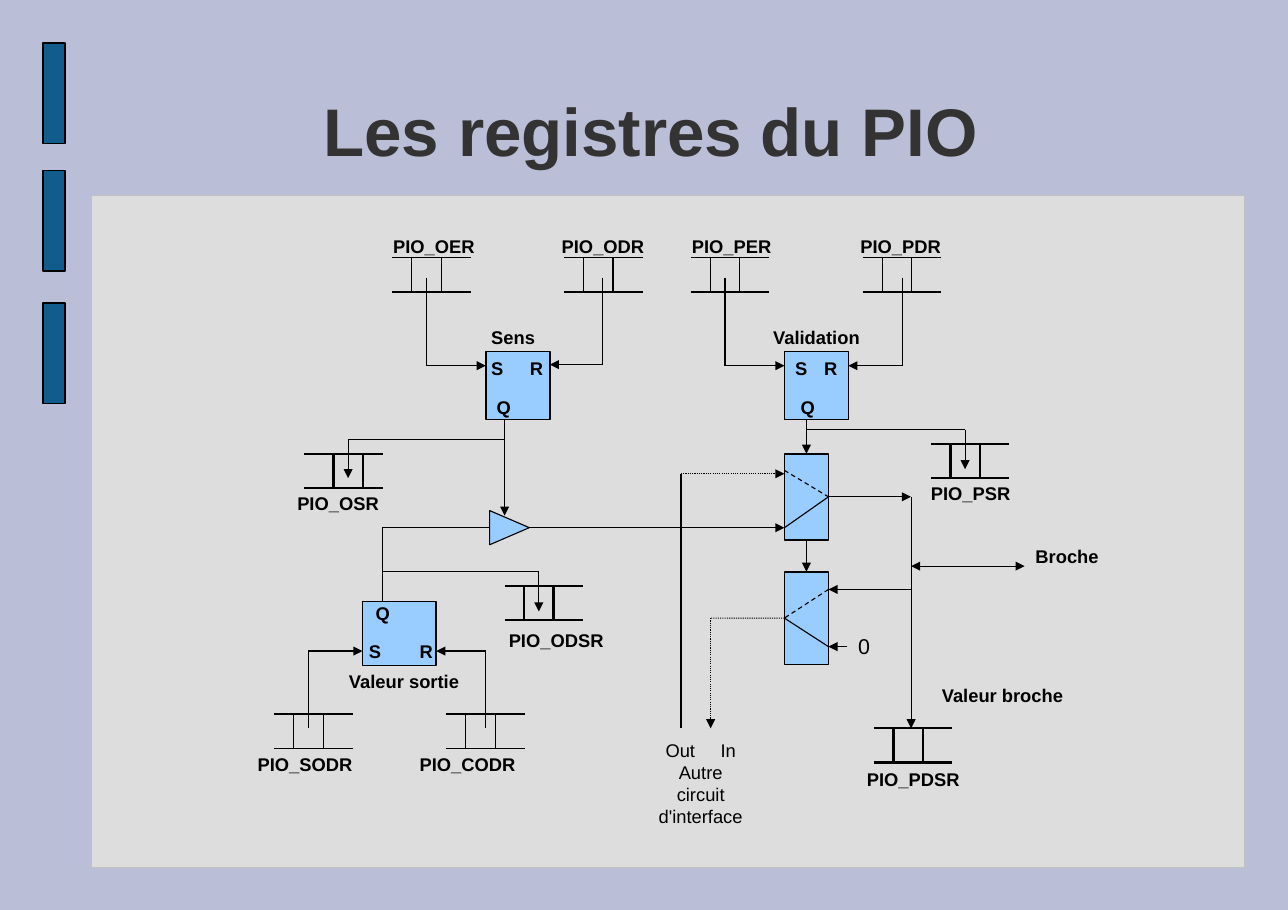
from lxml import etree
from pptx import Presentation
from pptx.dml.color import RGBColor
from pptx.enum.dml import MSO_LINE
from pptx.enum.shapes import MSO_CONNECTOR, MSO_SHAPE
from pptx.enum.text import MSO_ANCHOR, PP_ALIGN
from pptx.oxml.ns import qn
from pptx.util import Pt

RECT = MSO_SHAPE.RECTANGLE
EXTRACT = MSO_SHAPE.FLOWCHART_EXTRACT
STRAIGHT = MSO_CONNECTOR.STRAIGHT
DASH = MSO_LINE.DASH
DOT = MSO_LINE.ROUND_DOT
LEFT = PP_ALIGN.LEFT
CENTER = PP_ALIGN.CENTER

FONT = "Arial"
BLACK = "000000"
BLUE = "99CCFF"
TITLE = "Les registres du PIO"
INTERFACE = ["Out\tIn", "Autre", "circuit", "d'interface"]

BAR_TOPS = [28.1, 111.6, 198]
BOXES = [
    (317.5, 229.7, 41.8, 44.6),
    (512.6, 229.7, 41.8, 44.6),
    (236.9, 393.1, 48.2, 41.8),
    (512.6, 296.6, 28.8, 56.2),
    (512.6, 373.7, 28.8, 60.5),
]

THIN, THICK = 0.75, 1.5
REG_W, REG_H = 51.3, 22.3
BARS = (12.8, 32)
BARS_MIRROR = (19.3, 38.5)
REGISTERS = [
    ("PIO_OER", 256.3, 168.5, THIN, BARS, (249.8, 149.8, 70.6, 22.3)),
    ("PIO_ODR", 368.6, 168.5, THIN, BARS, (360, 149.8, 80, 26)),
    ("PIO_PER", 451.5, 168.5, THIN, BARS, (445, 149.8, 68.4, 22.3)),
    ("PIO_PDR", 563.8, 168.5, THIN, BARS, (555.1, 149.8, 70.6, 22.3)),
    ("PIO_OSR", 198.7, 296.6, THICK, BARS_MIRROR, (187.2, 318.2, 77, 22.3)),
    ("PIO_PSR", 608.4, 290.2, THICK, BARS, (601.2, 311.8, 81.4, 26)),
    ("PIO_ODSR", 329.8, 383, THICK, BARS, (325.4, 407.5, 87.8, 26)),
    ("PIO_SODR", 179.3, 466.6, THIN, BARS, (161.3, 488.9, 88.6, 22.3)),
    ("PIO_CODR", 291.6, 466.6, THIN, BARS, (267.1, 488.9, 88.6, 19.4)),
    ("PIO_PDSR", 571, 476, THICK, BARS, (559.4, 498.2, 81.4, 22.3)),
]

LABELS = [
    ("Sens", 313.9, 209.5, 54.7, 28.8),
    ("Validation", 498.2, 209.5, 81.4, 28.8),
    ("Valeur sortie", 221, 434.2, 95.8, 32.4),
    ("Valeur broche", 608.4, 443.5, 108, 23),
    ("Broche", 669.6, 352.8, 57.6, 31.7),
]
PINS = [
    ("S", 313.9, 229.7), ("R", 339.1, 229.7), ("Q", 317.5, 255.6),
    ("S", 512.6, 229.7), ("R", 531.4, 229.7), ("Q", 516.2, 255.6),
    ("Q", 238.3, 390.2), ("S", 234, 414.7), ("R", 267.1, 414.7),
]

ARROWS = [
    [(278.6, 181.4), (278.6, 239), (317.5, 239)],
    [(393.8, 181.4), (393.8, 238.3), (359.3, 238.3)],
    [(473.8, 181.4), (473.8, 239), (512.6, 239)],
    [(589.7, 181.4), (589.7, 239), (554.4, 239)],
    [(201.6, 476), (201.6, 425.5), (236.9, 425.5)],
    [(317.5, 476), (317.5, 425.5), (285.1, 425.5)],
    [(329.8, 287.3), (227.5, 287.3), (227.5, 312.5)],
    [(329.8, 274.3), (329.8, 337)],
    [(527, 280.8), (630.7, 280.8), (630.7, 306.7)],
    [(249.8, 373.7), (352.1, 373.7), (352.1, 399.6)],
    [(346, 344.9), (512.6, 344.9)],
    [(541.4, 324.7), (595.4, 324.7)],
    [(595.4, 324.7), (595.4, 476)],
    [(595.4, 385.2), (541.4, 385.2)],
    [(553.7, 422.6), (541.4, 422.6)],
    [(527, 274.3), (527, 296.6)],
    [(527, 352.8), (527, 373.7)],
]
DOTTED_ARROWS = [
    [(445, 309.6), (512.6, 309.6)],
    [(512.6, 404), (464.4, 404), (464.4, 476)],
]
PLAIN_WIRES = [
    [(249.8, 393.1), (249.8, 344.9), (320.4, 344.9)],
    [(445, 476), (445, 309.6)],
    [(512.6, 344.9), (541.4, 324.7)],
    [(541.4, 422.6), (512.6, 404)],
]
DASHED_WIRES = [
    [(512.6, 307.4), (541.4, 324.7)],
    [(541.4, 385.2), (512.6, 404)],
]
BROCHE_LINK = [(595.4, 370), (669.6, 370)]

prs = Presentation()
prs.slide_width, prs.slide_height = Pt(841.7), Pt(594.7)
slide = prs.slides.add_slide(prs.slide_layouts[5])
shapes = slide.shapes
blocks = []


def rgb(value):
    return RGBColor.from_string(value)


def add_box(kind, x, y, w, h, fill, line=BLACK, width=1):
    sp = shapes.add_shape(kind, Pt(x), Pt(y), Pt(w), Pt(h))
    sp.shadow.inherit = False
    sp.fill.solid()
    sp.fill.fore_color.rgb = rgb(fill)
    sp.line.color.rgb = rgb(line)
    sp.line.width = Pt(width)
    return sp


def format_text(tf, size, bold, align, color=BLACK):
    for p in tf.paragraphs:
        p.alignment = align
        for r in p.runs:
            r.font.name = FONT
            r.font.size = Pt(size)
            r.font.bold = bold
            r.font.color.rgb = rgb(color)


def add_text(text, x, y, w, h, size=12, bold=True, align=LEFT, wrap=True):
    tf = shapes.add_textbox(Pt(x), Pt(y), Pt(w), Pt(h)).text_frame
    tf.word_wrap = wrap
    tf.text = text
    format_text(tf, size, bold, align)


def find_site(point):
    for sp, (x, y, w, h) in blocks:
        sites = [(x + w / 2, y), (x, y + h / 2), (x + w / 2, y + h), (x + w, y + h / 2)]
        for i, (sx, sy) in enumerate(sites):
            if abs(sx - point[0]) < 1 and abs(sy - point[1]) < 1:
                return sp, i
    return None


def add_line(start, end, width=THIN, dash=None, ends=()):
    line = shapes.add_connector(STRAIGHT, *(Pt(v) for v in start + end))
    for point, connect in ((start, line.begin_connect), (end, line.end_connect)):
        site = find_site(point)
        if site:
            connect(*site)
    line.line.color.rgb = rgb(BLACK)
    line.line.width = Pt(width)
    if dash:
        line.line.dash_style = dash
    sp_pr = line._element.spPr
    for tag in ends:
        etree.SubElement(sp_pr.find(qn("a:ln")), qn(tag), type="triangle")
    etree.SubElement(sp_pr, qn("a:effectLst"))


def add_wire(points, dash=None, ends=()):
    last = len(points) - 2
    for i, (start, end) in enumerate(zip(points, points[1:])):
        add_line(start, end, dash=dash, ends=ends if i == last else ())


def add_register(x, y, width, bars):
    for dy in (0, REG_H):
        add_line((x, y + dy), (x + REG_W, y + dy), width)
    for dx in bars:
        add_line((x + dx, y), (x + dx, y + REG_H), width)


slide.background.fill.solid()
slide.background.fill.fore_color.rgb = rgb("BABED6")

title = shapes.title
title.left, title.top, title.width, title.height = Pt(56.9), Pt(42.5), Pt(737.3), Pt(85)
tf = title.text_frame
tf.margin_left = tf.margin_right = tf.margin_top = tf.margin_bottom = 0
tf.vertical_anchor = MSO_ANCHOR.MIDDLE
tf.text = TITLE
format_text(tf, 44, True, CENTER, "333333")

add_box(RECT, 59.8, 127.6, 753.8, 439.2, "DDDDDD", "C0C0C0", 0)
for top in BAR_TOPS:
    add_box(RECT, 28.1, top, 14.4, 65.5, "125C8D", width=0)
for box in BOXES:
    blocks.append((add_box(RECT, *box, BLUE), box))

for name, x, y, width, bars, label in REGISTERS:
    add_register(x, y, width, bars)
    add_text(name, *label)

for wires, dash, ends in (
    (ARROWS, None, ["a:tailEnd"]),
    (DOTTED_ARROWS, DOT, ["a:tailEnd"]),
    (PLAIN_WIRES, None, []),
    (DASHED_WIRES, DASH, []),
    ([BROCHE_LINK], None, ["a:headEnd", "a:tailEnd"]),
):
    for points in wires:
        add_wire(points, dash, ends)

add_box(EXTRACT, 321.8, 331.9, 22.3, 25.9, BLUE, width=THIN).rotation = 90

for label in LABELS:
    add_text(*label)
for letter, x, y in PINS:
    add_text(letter, x, y, 23, 20.9, wrap=False)
add_text("0", 553.7, 410.4, 23, 22.3, size=14, bold=False)
add_text("\n".join(INTERFACE), 413.3, 479.5, 89.3, 49.7, bold=False, align=CENTER)

prs.save("out.pptx")
